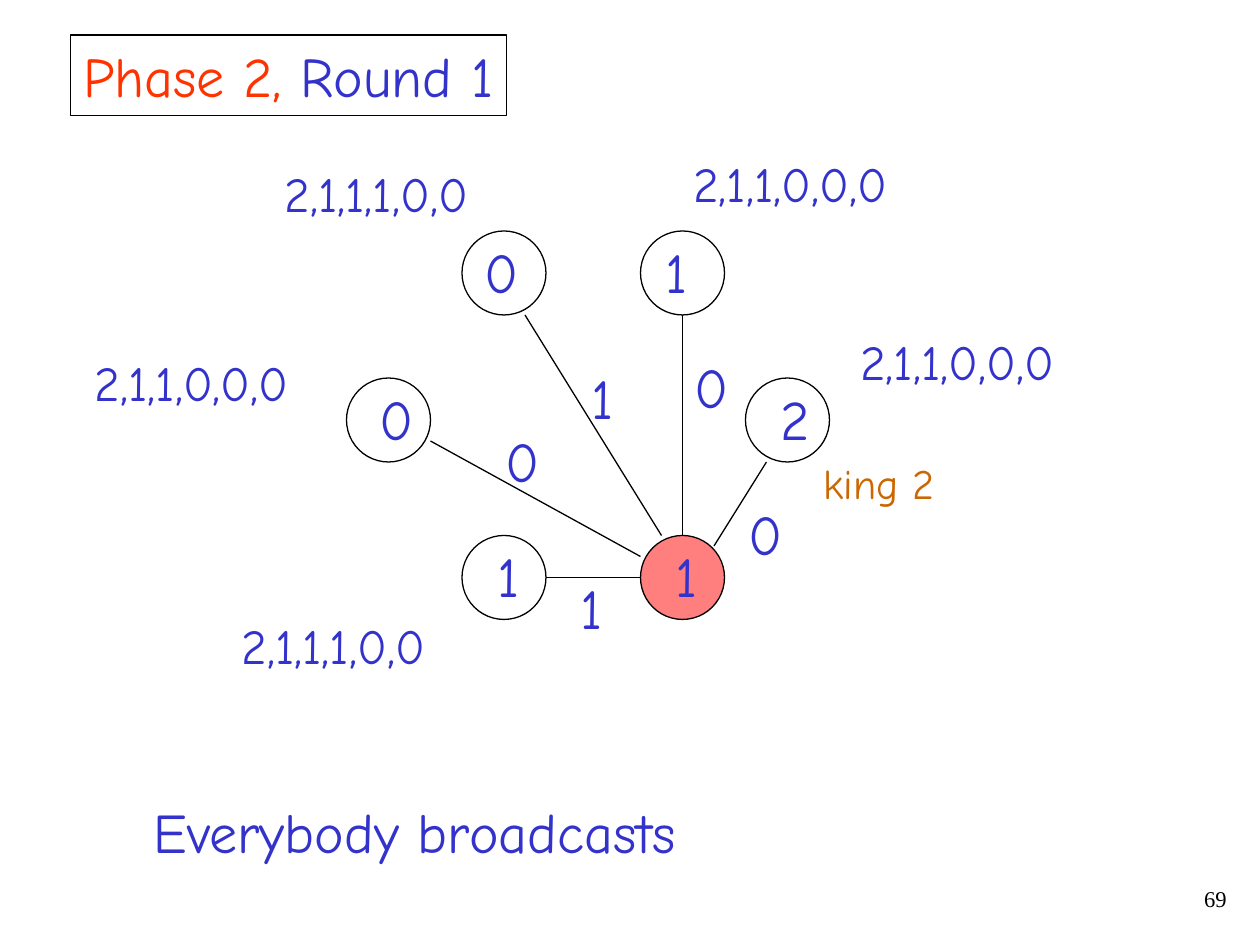
from dataclasses import dataclass

from lxml.etree import SubElement
from pptx import Presentation
from pptx.dml.color import RGBColor
from pptx.enum.shapes import MSO_CONNECTOR, MSO_SHAPE
from pptx.enum.text import MSO_ANCHOR, MSO_AUTO_SIZE, PP_ALIGN
from pptx.oxml.ns import qn
from pptx.util import Pt

BLUE, RED, ORANGE, BLACK = "3333CC", "FF3300", "CC6600", "000000"
FONT = "Comic Neue"
NODE_SIZE = 48
DIGIT_WIDTHS = {"0": 34, "1": 27, "2": 31}
LIST_WIDTHS = {"2,1,1,0,0,0": 134.5, "2,1,1,1,0,0": 128}


@dataclass
class Sender:
    """A node, its received list and the message it exchanges with the receiver."""
    node: tuple
    value: str
    indent: float
    values_at: tuple
    values: str
    line: tuple
    message_at: tuple
    message: str


SENDERS = [
    Sender((216, 48), "0", 6, (107.5, 6), "2,1,1,1,0,0",
           (252, 96, 330, 222), (283, 120), "1"),
    Sender((318, 48), "1", 7, (341, 0), "2,1,1,0,0,0",
           (342, 96, 342, 222), (342, 114), "0"),
    Sender((378, 132), "2", 13, (436.5, 102), "2,1,1,0,0,0",
           (390, 180, 360, 228), (372.5, 198), "0"),
    Sender((150, 132), "0", 12, (-1, 114), "2,1,1,0,0,0",
           (198, 168, 318, 234), (234, 156), "0"),
    Sender((216, 222), "1", 13, (83, 264), "2,1,1,1,0,0",
           (264, 246, 318, 246), (276.5, 240), "1"),
]


def color(value):
    return RGBColor.from_string(value)


def set_outline(shape):
    shape.line.color.rgb = color(BLACK)
    shape.line.width = Pt(0.75)


def add_run(paragraph, text, size, text_color, font=FONT):
    run = paragraph.add_run()
    run.text = text
    run.font.name = font
    run.font.size = Pt(size)
    run.font.color.rgb = color(text_color)


def add_label(slide, text, left, top, width, size=32, text_color=BLUE):
    height = size * 1.21 + 7.2
    shape = slide.shapes.add_textbox(Pt(left), Pt(top), Pt(width), Pt(height))
    frame = shape.text_frame
    frame.word_wrap = False
    frame.auto_size = MSO_AUTO_SIZE.SHAPE_TO_FIT_TEXT
    add_run(frame.paragraphs[0], text, size, text_color)


def add_digit(slide, digit, left, top):
    add_label(slide, digit, left, top, DIGIT_WIDTHS[digit])


def add_node(slide, value, left, top, indent, fill=None):
    shape = slide.shapes.add_shape(
        MSO_SHAPE.OVAL, Pt(left), Pt(top), Pt(NODE_SIZE), Pt(NODE_SIZE))
    shape.shadow.inherit = False
    set_outline(shape)
    if fill:
        shape.fill.solid()
        shape.fill.fore_color.rgb = color(fill)
        fill_color = shape._element.spPr.find(qn("a:solidFill"))[0]
        SubElement(fill_color, qn("a:alpha")).set("val", "50000")
    else:
        shape.fill.background()
    add_digit(slide, value, left + indent, top)


def add_line(slide, x1, y1, x2, y2):
    line = slide.shapes.add_connector(
        MSO_CONNECTOR.STRAIGHT, Pt(x1), Pt(y1), Pt(x2), Pt(y2))
    set_outline(line)
    SubElement(line._element.spPr, qn("a:effectLst"))


def add_title(slide, left, top, width, height):
    title = slide.shapes.title
    title.left, title.top = Pt(left), Pt(top)
    title.width, title.height = Pt(width), Pt(height)
    set_outline(title)
    frame = title.text_frame
    frame.word_wrap = False
    frame.auto_size = MSO_AUTO_SIZE.NONE
    frame.vertical_anchor = MSO_ANCHOR.TOP
    paragraph = frame.paragraphs[0]
    paragraph.alignment = PP_ALIGN.LEFT
    add_run(paragraph, "Phase 2,", 32, RED)
    add_run(paragraph, " Round 1", 32, BLUE)


def add_network(slide, left, top):
    for sender in SENDERS:
        x, y = sender.node
        add_node(slide, sender.value, left + x, top + y, sender.indent)
        x1, y1, x2, y2 = sender.line
        add_line(slide, left + x1, top + y1, left + x2, top + y2)
        x, y = sender.values_at
        add_label(slide, sender.values, left + x, top + y,
                  LIST_WIDTHS[sender.values], 28)
        x, y = sender.message_at
        add_digit(slide, sender.message, left + x, top + y)
    add_node(slide, "1", left + 318, top + 222, 13, "FF0000")
    add_label(slide, "king 2", left + 415.5, top + 174, 78, 24, ORANGE)


def add_page_number(slide, left, top, width, height):
    shape = slide.shapes.add_textbox(Pt(left), Pt(top), Pt(width), Pt(height))
    shape.text_frame.word_wrap = True
    paragraph = shape.text_frame.paragraphs[0]
    paragraph.alignment = PP_ALIGN.RIGHT
    paragraph.line_spacing = 0.9
    add_run(paragraph, "69", 12.9, BLACK, "Times New Roman")


def main():
    presentation = Presentation()
    presentation.slide_width, presentation.slide_height = Pt(720), Pt(540)
    slide = presentation.slides.add_slide(presentation.slide_layouts[5])
    add_title(slide, 40.3, 20, 249, 46)
    add_network(slide, 48, 84)
    add_label(slide, "Everybody broadcasts", 80.6, 452, 314)
    add_page_number(slide, 558, 504, 150, 24)
    presentation.save("out.pptx")


if __name__ == "__main__":
    main()
